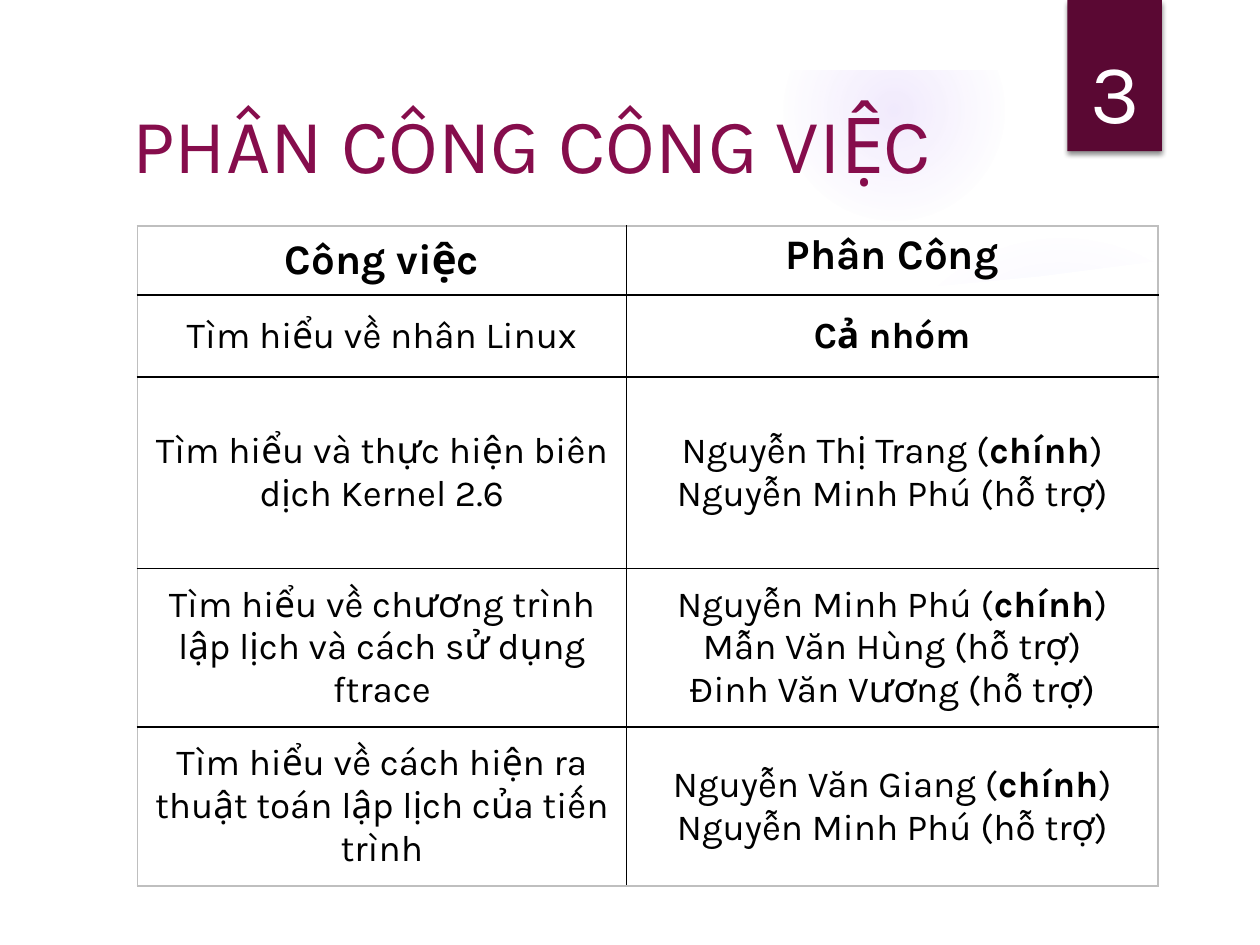
from dataclasses import dataclass

from lxml import etree
from pptx import Presentation
from pptx.dml.color import RGBColor
from pptx.enum.shapes import MSO_SHAPE
from pptx.enum.text import MSO_ANCHOR, PP_ALIGN
from pptx.oxml import parse_xml
from pptx.oxml.ns import nsdecls, qn
from pptx.util import Pt

CENTER, LEFT = PP_ALIGN.CENTER, PP_ALIGN.LEFT
TOP, MIDDLE, BOTTOM = MSO_ANCHOR.TOP, MSO_ANCHOR.MIDDLE, MSO_ANCHOR.BOTTOM
OVAL, RECTANGLE, FRAME = MSO_SHAPE.OVAL, MSO_SHAPE.RECTANGLE, MSO_SHAPE.FRAME


@dataclass(frozen=True)
class Theme:
    font: str = "Karla"
    title: str = "860D4C"
    tab: str = "5A0833"
    glow: str = "9B6BF2"
    paper: str = "FFFFFF"
    ink: str = "000000"
    outline: str = "BFBFBF"
    title_size: float = 44
    number_size: float = 48
    header_size: float = 24
    body_size: float = 21


THEME = Theme()
SLIDE_SIZE = (720, 540)
MARGIN = 40
TABLE_BOX = (78.5, 129, 583.2, 376.9)
COLUMN_WIDTHS = (279.4, 303.8)
ROW_HEIGHTS = (39.6, 46.8, 109.4, 90.7, 90.7)
PANEL = [(38, 146), (53, 148), (95, 153), (160, 160), (223, 165), (291, 168),
         (368, 168.5), (450, 167.5), (536, 163.5), (594, 158), (652, 150.5),
         (682, 146), (682, 503), (38, 503)]
SWOOSH = [(502, 180), (555, 174), (620, 160), (684, 138), (688, 136),
          (687, 128), (684, 113), (630, 131), (580, 147), (530, 162), (502, 174)]

# Each cell holds lines; each line holds spans of (text, bold).
LEAD = ("chính", True)


def lead(name):
    return [(f"{name} (", False), LEAD, (")", False)]


def plain(text):
    return [(text, False)]


def strong(text):
    return [(text, True)]


HELPER_PHU = plain("Nguyễn Minh Phú (hỗ trợ)")
ROWS = [
    ([strong("Công việc")], [strong("Phân Công")]),
    ([plain("Tìm hiểu về nhân Linux")], [strong("Cả nhóm")]),
    ([plain("Tìm hiểu và thực hiện biên dịch Kernel 2.6")],
     [lead("Nguyễn Thị Trang"), HELPER_PHU]),
    ([plain("Tìm hiểu về chương trình lập lịch và cách sử dụng ftrace")],
     [lead("Nguyễn Minh Phú"), plain("Mẫn Văn Hùng (hỗ trợ)"),
      plain("Đinh Văn Vương (hỗ trợ)")]),
    ([plain("Tìm hiểu về cách hiện ra thuật toán lập lịch của tiến trình")],
     [lead("Nguyễn Văn Giang"), HELPER_PHU]),
]


def rgb(color):
    return RGBColor.from_string(color)


def points(values):
    return [Pt(value) for value in values]


def fill_plain(shape, color):
    shape.shadow.inherit = False
    shape.fill.solid()
    shape.fill.fore_color.rgb = rgb(color)
    shape.line.fill.background()
    return shape


def add_shape(page, kind, box, color):
    return fill_plain(page.shapes.add_shape(kind, *points(box)), color)


def add_outline(page, vertices, color):
    corners = [tuple(points(vertex)) for vertex in vertices]
    builder = page.shapes.build_freeform(*corners[0])
    builder.add_line_segments(corners[1:], close=True)
    return fill_plain(builder.convert_to_shape(), color)


def add_glow(page, box, stops):
    """Draw a circle that fades outwards; stops are (position %, opacity %)."""
    circle = add_shape(page, OVAL, box, THEME.glow)
    stop_list = "".join(
        f'<a:gs pos="{position * 1000}"><a:srgbClr val="{THEME.glow}">'
        f'<a:alpha val="{opacity * 1000}"/></a:srgbClr></a:gs>'
        for position, opacity in stops)
    gradient = parse_xml(
        f'<a:gradFill {nsdecls("a")} rotWithShape="1"><a:gsLst>{stop_list}</a:gsLst>'
        '<a:path path="circle"><a:fillToRect l="50000" t="50000" r="50000" b="50000"/>'
        '</a:path></a:gradFill>')
    properties = circle.element.spPr
    properties.replace(properties.find(qn("a:solidFill")), gradient)


def set_opacity(shape, percent):
    color = shape.element.spPr.find(qn("a:solidFill"))[0]
    etree.SubElement(color, qn("a:alpha"), val=str(percent * 1000))


def add_drop_shadow(shape):
    effects = shape.element.spPr.find(qn("a:effectLst"))
    effects.append(parse_xml(
        f'<a:outerShdw {nsdecls("a")} blurRad="{Pt(3)}" dist="{Pt(2)}" dir="5400000" '
        f'rotWithShape="0"><a:srgbClr val="{THEME.ink}"><a:alpha val="45000"/>'
        '</a:srgbClr></a:outerShdw>'))


def write_lines(frame, lines, size, color, align):
    for index, spans in enumerate(lines):
        para = frame.paragraphs[0] if index == 0 else frame.add_paragraph()
        para.alignment = align
        for text, bold in spans:
            span = para.add_run()
            span.text = text
            font_format = {"name": THEME.font, "size": Pt(size), "bold": bold}
            for name, value in font_format.items():
                setattr(span.font, name, value)
            span.font.color.rgb = rgb(color)


def add_text(page, box, text, size, color, align, anchor):
    frame = page.shapes.add_textbox(*points(box)).text_frame
    frame.word_wrap = True
    frame.vertical_anchor = anchor
    write_lines(frame, [plain(text)], size, color, align)


def set_borders(cell, colors):
    """Put 1 pt lines on the left, right, top and bottom sides, in that order."""
    properties = cell._tc.get_or_add_tcPr()
    for index, (side, color) in enumerate(zip("LRTB", colors)):
        properties.insert(index, parse_xml(
            f'<a:ln{side} {nsdecls("a")} w="{Pt(1)}"><a:solidFill>'
            f'<a:srgbClr val="{color}"/></a:solidFill></a:ln{side}>'))


def add_task_table(page):
    last_row, last_column = len(ROWS) - 1, len(COLUMN_WIDTHS) - 1
    table = page.shapes.add_table(
        len(ROWS), len(COLUMN_WIDTHS), *points(TABLE_BOX)).table
    table.first_row = table.horz_banding = False
    for column, width in zip(table.columns, COLUMN_WIDTHS):
        column.width = Pt(width)
    for row, height in zip(table.rows, ROW_HEIGHTS):
        row.height = Pt(height)
    for r, row_cells in enumerate(ROWS):
        for c, lines in enumerate(row_cells):
            cell = table.cell(r, c)
            cell_format = {
                "margin_left": Pt(6.5), "margin_right": Pt(6.5),
                "margin_top": Pt(3.2), "margin_bottom": Pt(3.2),
                "vertical_anchor": TOP if (r, c) == (0, 1) else MIDDLE}
            for name, value in cell_format.items():
                setattr(cell, name, value)
            cell.fill.background()
            outer = (c == 0, c == last_column, r == 0, r == last_row)
            set_borders(cell, [THEME.outline if edge else THEME.ink for edge in outer])
            size = THEME.header_size if r == 0 else THEME.body_size
            write_lines(cell.text_frame, lines, size, THEME.ink, CENTER)


def add_backdrop(page):
    add_glow(page, (496, 132, 222, 222), [(0, 7), (36, 6), (69, 0)])
    add_glow(page, (448, 0, 126, 126), [(0, 14), (36, 7), (73, 0)])
    set_opacity(add_outline(page, SWOOSH, THEME.paper), 20)
    add_outline(page, PANEL, THEME.paper)
    border = add_shape(page, FRAME, (0, 0, *SLIDE_SIZE), THEME.paper)
    border.adjustments[0] = MARGIN / min(SLIDE_SIZE)


def main():
    deck = Presentation()
    deck.slide_width, deck.slide_height = points(SLIDE_SIZE)
    page = deck.slides.add_slide(deck.slide_layouts[6])
    add_backdrop(page)
    add_drop_shadow(add_shape(page, RECTANGLE, (610, 0, 54, 86.4), THEME.tab))
    add_text(page, (68.4, 53.3, 499.7, 56.2), "PHÂN CÔNG CÔNG VIỆC",
             THEME.title_size, THEME.title, LEFT, MIDDLE)
    add_text(page, (606.2, 23, 62.6, 60.5), "3",
             THEME.number_size, THEME.paper, CENTER, BOTTOM)
    add_task_table(page)
    deck.save("out.pptx")


if __name__ == "__main__":
    main()
